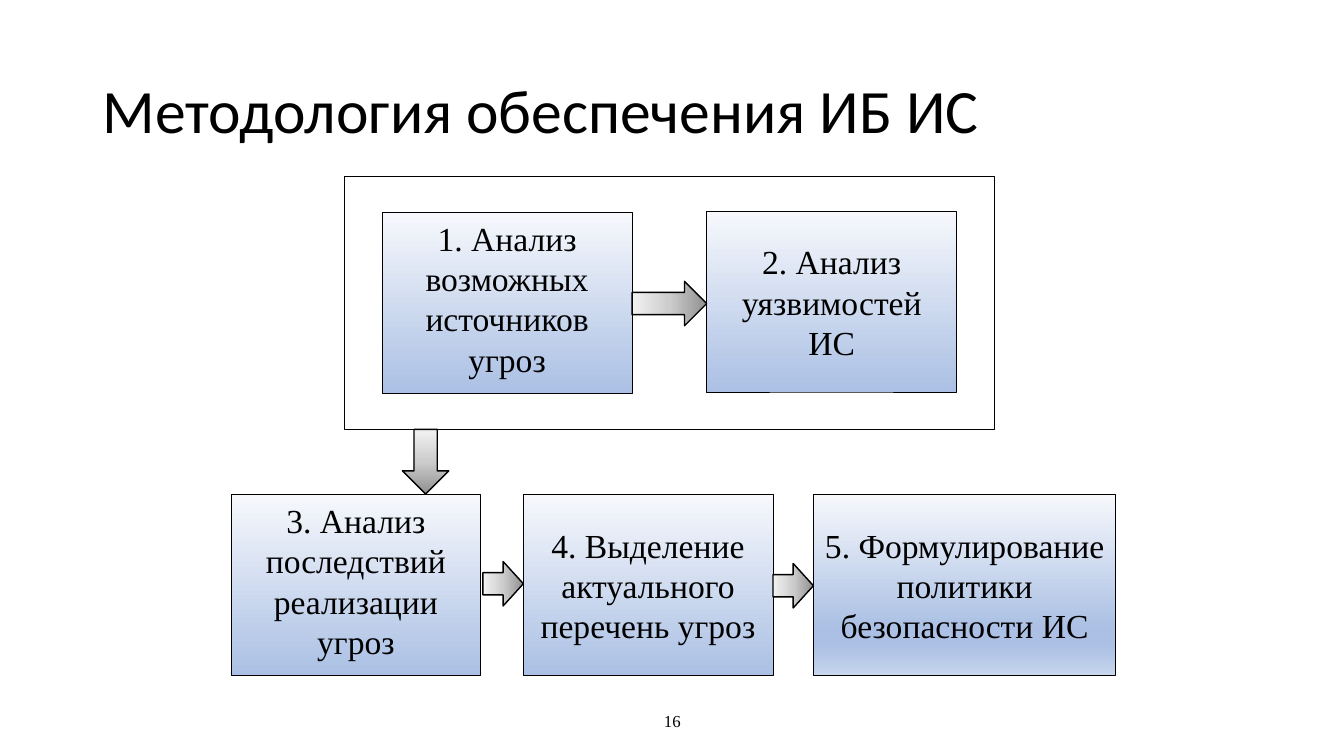
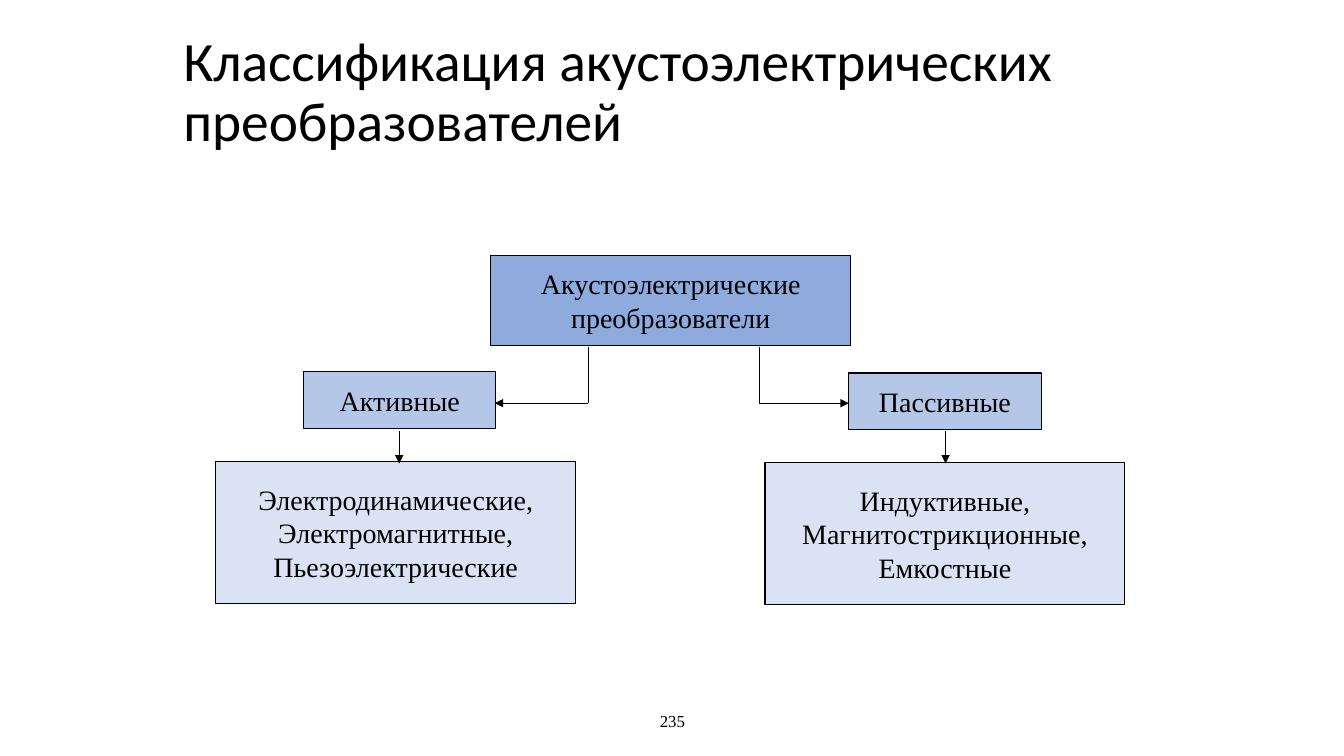
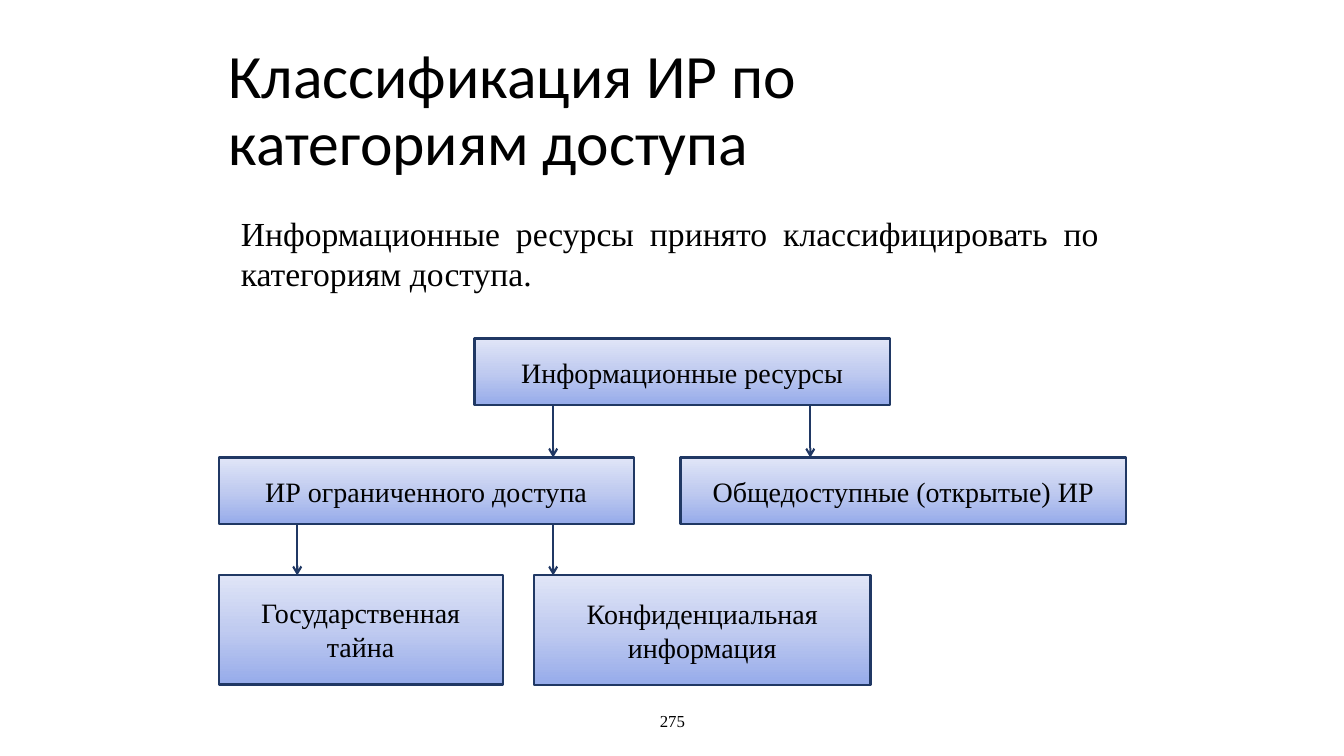
"""Build three slides on information security with block diagrams."""
from lxml.etree import SubElement
from pptx import Presentation
from pptx.dml.color import RGBColor
from pptx.enum.shapes import MSO_CONNECTOR, MSO_SHAPE
from pptx.enum.text import MSO_ANCHOR, PP_ALIGN
from pptx.oxml.ns import qn
from pptx.util import Cm, Pt

BLACK, WHITE, NAVY = "000000", "FFFFFF", "203864"
HEADING_FONT, BODY_FONT = "Calibri", "Times New Roman"
STEP_FILL = [(0, "F6F8FC"), (100, "ABC0E4")]
LAST_STEP_FILL = [(0, "F6F8FC"), (74, "ABC0E4"), (83, "ABC0E4"), (100, "C7D5ED")]
ARROW_FILL = [(0, "F2F2F2"), (50, "CCCCCC"), (100, "909090")]
RESOURCE_FILL = [(0, "E0E5F7"), (50, "C0CBF0"), (100, "96ABEA")]
DOWNWARD, RIGHTWARD = 270, 0


def add_block(slide, frame, text="", size=20, font=BODY_FONT, align=PP_ALIGN.CENTER,
              anchor=MSO_ANCHOR.MIDDLE, spacing=1.0, preset=MSO_SHAPE.RECTANGLE,
              stops=None, angle=DOWNWARD, line=BLACK, width=0.75):
    """Add a text box, or a filled preset shape when colour stops are given."""
    frame = [Cm(length) for length in frame]
    if stops:
        shape = slide.shapes.add_shape(preset, *frame)
        shape.shadow.inherit = False
        shape.line.color.rgb = RGBColor.from_string(line)
        shape.line.width = Pt(width)
        if len(stops) == 1:
            shape.fill.solid()
            shape.fill.fore_color.rgb = RGBColor.from_string(stops[0][1])
        else:
            shape.fill.gradient()
            shape.fill.gradient_angle = angle
            stop_list = shape._element.spPr.find(".//" + qn("a:gsLst"))
            stop_list.clear()
            for position, colour in stops:
                stop = SubElement(stop_list, qn("a:gs"), pos=str(position * 1000))
                SubElement(stop, qn("a:srgbClr"), val=colour)
    else:
        shape = slide.shapes.add_textbox(*frame)
    text_frame = shape.text_frame
    text_frame.word_wrap = True
    text_frame.vertical_anchor = anchor
    text_frame.text = text
    for paragraph in text_frame.paragraphs:
        paragraph.alignment = align
        paragraph.line_spacing = spacing
        for run in paragraph.runs:
            run.font.size = Pt(size)
            run.font.name = font
            run.font.color.rgb = RGBColor.from_string(BLACK)
    return shape


def add_line(slide, start, end, colour, width, head=None):
    """Add a straight line with an optional arrowhead at its end."""
    connector = slide.shapes.add_connector(
        MSO_CONNECTOR.STRAIGHT, *[Cm(length) for length in (*start, *end)])
    connector.line.color.rgb = RGBColor.from_string(colour)
    connector.line.width = Pt(width)
    if head:
        SubElement(connector.line._ln, qn("a:tailEnd"), type=head)
    SubElement(connector._element.spPr, qn("a:effectLst"))


presentation = Presentation()
presentation.slide_width = Cm(33.87)
presentation.slide_height = Cm(19.05)

slides = []
for title, title_size, title_frame, number in [
    ("Методология обеспечения ИБ ИС", 44, (2.34, 1.02, 29.21, 3.68), "16"),
    ("Классификация акустоэлектрических преобразователей", 39.6,
     (4.37, 0.76, 25.07, 3.18), "235"),
    ("Классификация ИР по\vкатегориям доступа", 44, (5.51, 0.41, 22.86, 4.83), "275"),
]:
    slide = presentation.slides.add_slide(presentation.slide_layouts[6])
    add_block(slide, title_frame, title, title_size, HEADING_FONT, PP_ALIGN.LEFT, spacing=0.9)
    add_block(slide, (11.23, 17.65, 11.43, 1.02), number, 12)
    slides.append(slide)
methodology, transducers, resources = slides

add_block(methodology, (8.69, 4.45, 16.38, 6.38), stops=[(0, WHITE)], width=1)
for left, top, width, text, anchor, stops in [
    (9.63, 5.36, 6.3, "1. Анализ возможных источников угроз", MSO_ANCHOR.TOP, STEP_FILL),
    (17.81, 5.33, 6.3, "2. Анализ уязвимостей ИС", MSO_ANCHOR.MIDDLE, STEP_FILL),
    (5.82, 12.47, 6.3, "3. Анализ последствий реализации угроз", MSO_ANCHOR.TOP, STEP_FILL),
    (13.18, 12.47, 6.3, "4. Выделение актуального перечень угроз", MSO_ANCHOR.MIDDLE, STEP_FILL),
    (20.5, 12.47, 7.62, "5. Формулирование политики безопасности ИС", MSO_ANCHOR.MIDDLE,
     LAST_STEP_FILL),
]:
    add_block(methodology, (left, top, width, 4.55), text, 24, anchor=anchor,
              stops=stops, width=0.5)
for arrow_frame, rotation in [
    ((15.93, 7.09, 1.88, 1.12), 0),
    ((9.91, 11.05, 1.63, 1.17), 90),
    ((12.17, 14.15, 1.02, 1.12), 0),
    ((19.48, 14.2, 1.02, 1.12), 0),
]:
    arrow = add_block(methodology, arrow_frame, preset=MSO_SHAPE.RIGHT_ARROW,
                      stops=ARROW_FILL, angle=RIGHTWARD, width=1)
    arrow.rotation = rotation

for frame, text, colour in [
    ((12.37, 6.43, 9.07, 2.29), "Акустоэлектрические преобразователи", "8FAADC"),
    ((7.65, 9.37, 4.85, 1.42), "Активные", "B4C7E7"),
    ((21.39, 9.4, 4.85, 1.42), "Пассивные", "B4C7E7"),
    ((5.44, 11.63, 9.07, 3.58),
     "Электродинамические,\nЭлектромагнитные,\nПьезоэлектрические", "DAE3F3"),
    ((19.28, 11.66, 9.07, 3.58),
     "Индуктивные,\nМагнитострикционные,\nЕмкостные", "DAE3F3"),
]:
    add_block(transducers, frame, text, stops=[(0, colour)])
for stem, branch_end, list_center in [(14.83, 12.47, 10.06), (19.13, 21.39, 23.83)]:
    add_line(transducers, (stem, 8.74), (stem, 10.16), BLACK, 0.75)
    add_line(transducers, (stem, 10.16), (branch_end, 10.16), BLACK, 0.75, "triangle")
    add_line(transducers, (list_center, 10.85), (list_center, 11.68), BLACK, 0.75, "triangle")

add_block(resources, (5.82, 5.23, 22.12, 2.31),
          "Информационные ресурсы принято классифицировать по категориям доступа.",
          24, align=PP_ALIGN.JUSTIFY, anchor=MSO_ANCHOR.TOP)
for frame, text in [
    ((11.96, 8.53, 10.46, 1.68), "Информационные ресурсы"),
    ((5.51, 11.53, 10.46, 1.68), "ИР ограниченного доступа"),
    ((17.15, 11.53, 11.23, 1.68), "Общедоступные (открытые) ИР"),
    ((5.51, 14.48, 7.16, 2.77), "Государственная\nтайна"),
    ((13.46, 14.5, 8.48, 2.77), "Конфиденциальная\nинформация"),
]:
    add_block(resources, frame, text, stops=RESOURCE_FILL, line=NAVY, width=1.5)
for left, top in [(13.94, 10.24), (20.42, 10.24), (7.49, 13.21), (13.94, 13.21)]:
    add_line(resources, (left, top), (left, top + 1.29), NAVY, 1.5, "arrow")

presentation.save("out.pptx")
